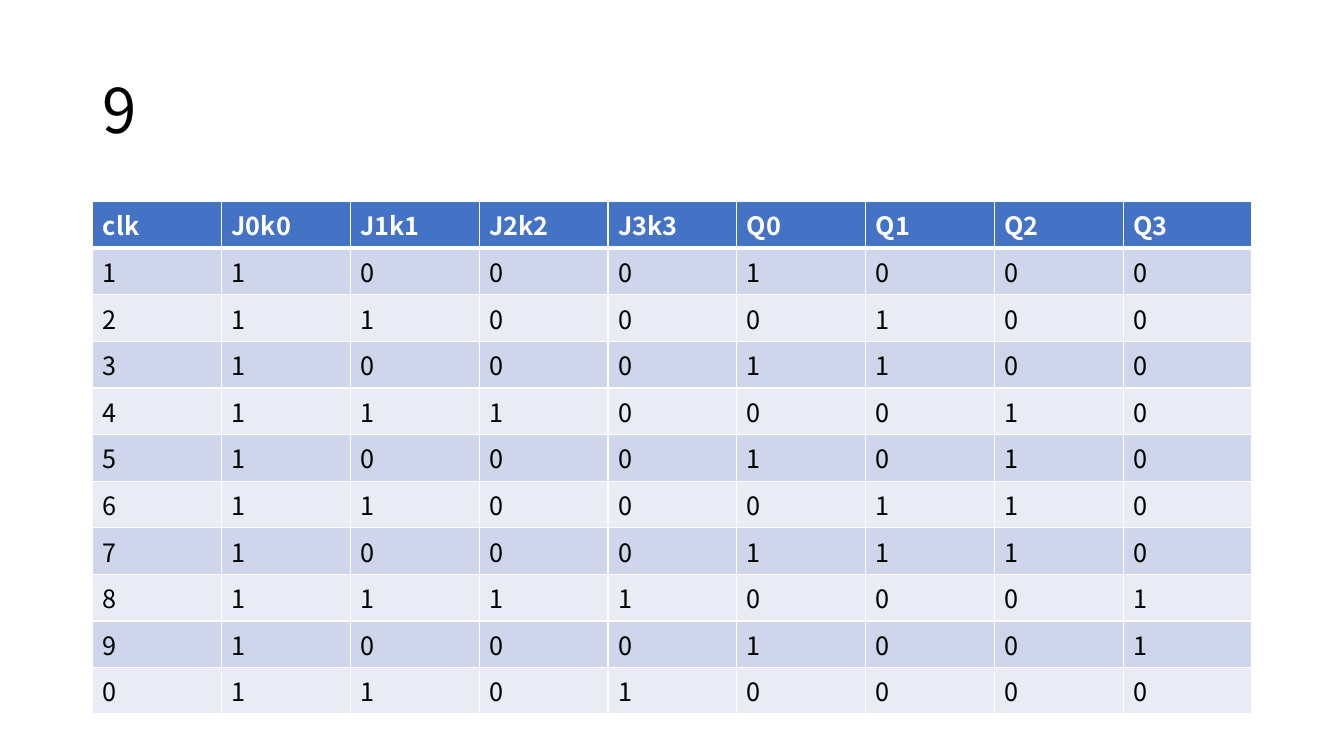
"""Build a slide with the clock-by-clock table of a four-stage JK counter."""
from dataclasses import dataclass

from lxml import etree
from pptx import Presentation
from pptx import util as u
from pptx.dml.color import RGBColor
from pptx.enum import text
from pptx.oxml import ns

FONT = "Noto Sans CJK SC"
COLOURS = {
    "ink": "000000",
    "paper": "FFFFFF",
    "header": "4472C4",
    "odd": "CFD5EA",
    "even": "E9EBF5",
}
HEADINGS = ("clk", "J0k0", "J1k1", "J2k2", "J3k3", "Q0", "Q1", "Q2", "Q3")
STATES = (
    "110001000",
    "211000100",
    "310001100",
    "411100010",
    "510001010",
    "611000110",
    "710001110",
    "811110001",
    "910001001",
    "011010000",
)


@dataclass(frozen=True)
class RowStyle:
    """Look of one kind of table row, with border widths in points."""

    fill: str
    ink: str
    bold: bool = False
    top: float = 1
    bottom: float = 1


HEADER = RowStyle("header", "paper", bold=True, bottom=3)
FIRST = RowStyle("odd", "ink", top=3)
ODD = RowStyle("odd", "ink")
EVEN = RowStyle("even", "ink")


def row_style(index: int) -> RowStyle:
    """Return the style of the row at this index."""
    if index < 2:
        return (HEADER, FIRST)[index]
    return ODD if index % 2 else EVEN


def write(paragraph, words: str, size: float, ink: str, bold: bool = False) -> None:
    """Add one formatted run to a paragraph."""
    run = paragraph.add_run()
    run.text = words
    run.font.name = FONT
    run.font.size = u.Pt(size)
    run.font.bold = bold
    run.font.color.rgb = RGBColor.from_string(COLOURS[ink])


def add_border(cell, side: str, width: float) -> None:
    """Draw a border in the paper colour on one side of a cell."""
    properties = cell._tc.get_or_add_tcPr()
    line = etree.SubElement(properties, ns.qn(f"a:ln{side}"), w=str(u.Pt(width)))
    solid = etree.SubElement(line, ns.qn("a:solidFill"))
    etree.SubElement(solid, ns.qn("a:srgbClr"), val=COLOURS["paper"])


def fill_cell(cell, words: str, style: RowStyle) -> None:
    """Format a table cell and write its value."""
    for side, width in (("L", 1), ("R", 1), ("T", style.top), ("B", style.bottom)):
        add_border(cell, side, width)
    cell.fill.solid()
    cell.fill.fore_color.rgb = RGBColor.from_string(COLOURS[style.fill])
    write(cell.text_frame.paragraphs[0], words, 18, style.ink, style.bold)


def add_heading(slide, words: str) -> None:
    """Place and fill the title placeholder."""
    heading = slide.shapes.title
    heading.left, heading.top = u.Inches(0.92), u.Inches(0.4)
    heading.width, heading.height = u.Inches(11.5), u.Inches(1.45)
    frame = heading.text_frame
    frame.word_wrap = True
    frame.auto_size = text.MSO_AUTO_SIZE.NONE
    frame.vertical_anchor = text.MSO_ANCHOR.MIDDLE
    paragraph = frame.paragraphs[0]
    paragraph.alignment = text.PP_ALIGN.LEFT
    paragraph.line_spacing = 0.9
    write(paragraph, words, 44, "ink")


def add_states(slide) -> None:
    """Add the table of inputs and outputs for each clock pulse."""
    rows = (HEADINGS, *STATES)
    states = slide.shapes.add_table(
        len(rows), len(HEADINGS),
        u.Inches(0.92), u.Inches(2), u.Inches(11.5), u.Inches(4.46),
    ).table
    for row_index, values in enumerate(rows):
        for column_index, value in enumerate(values):
            fill_cell(states.cell(row_index, column_index), value, row_style(row_index))


def main() -> None:
    """Create and save the presentation."""
    deck = Presentation()
    deck.slide_width, deck.slide_height = u.Inches(13.33), u.Inches(7.5)
    slide = deck.slides.add_slide(deck.slide_layouts[5])
    add_heading(slide, "9")
    add_states(slide)
    deck.save("out.pptx")


if __name__ == "__main__":
    main()
